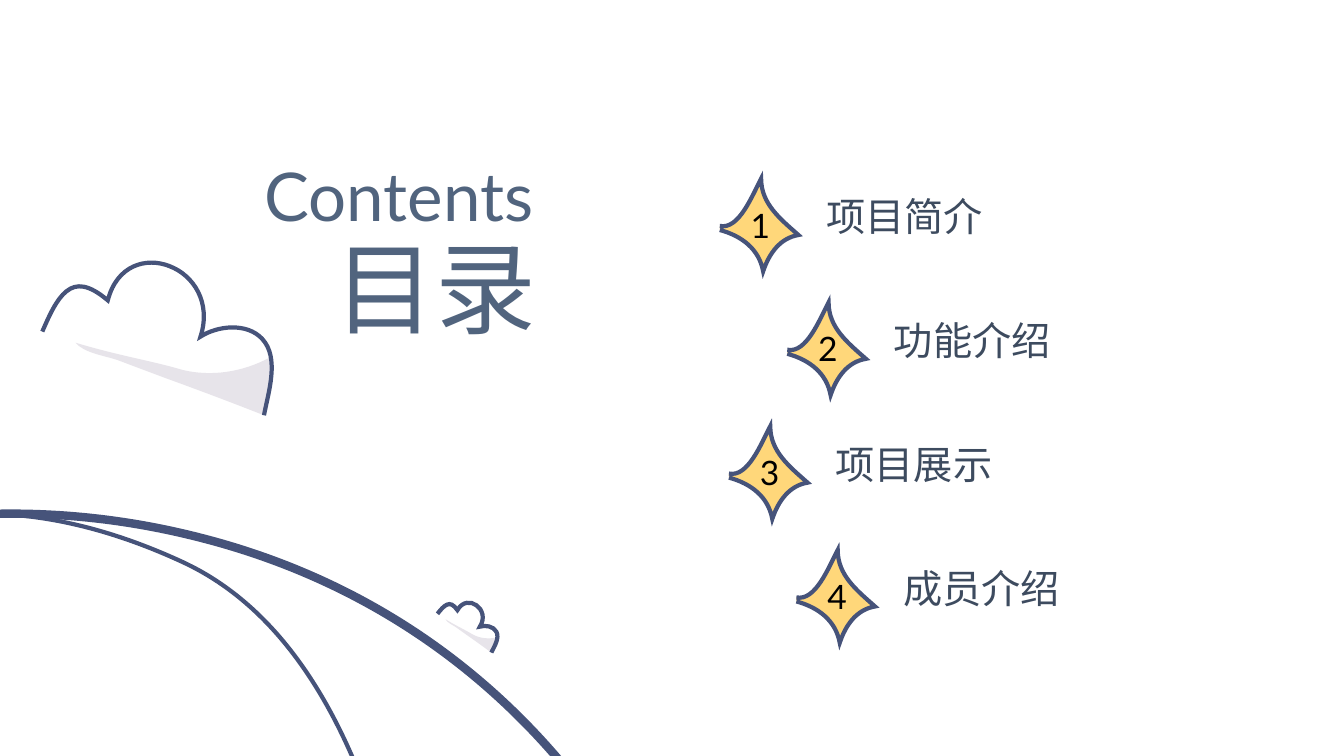
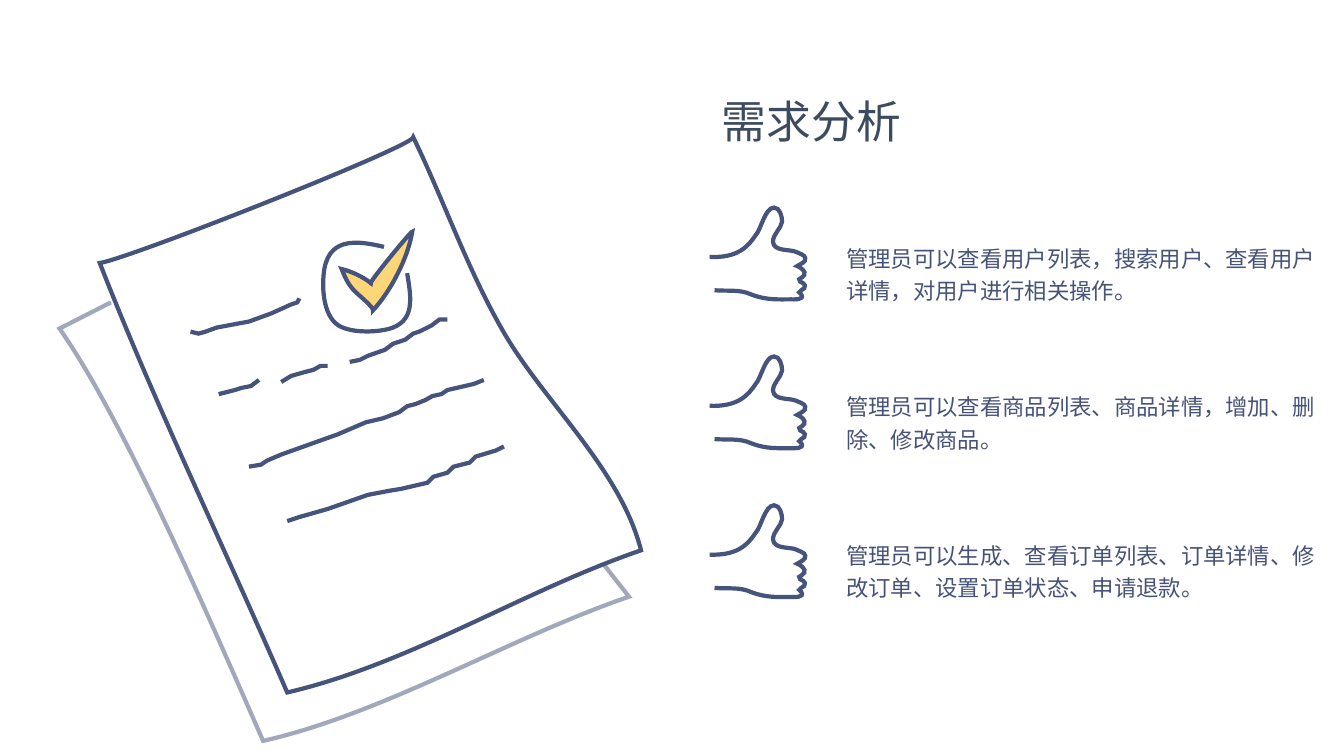
import math

import pptx
import pptx.dml.color
import pptx.enum.text
import pptx.oxml.ns
import pptx.util
from lxml import etree
from pptx.util import Cm

RGBColor = pptx.dml.color.RGBColor
Align = pptx.enum.text.PP_ALIGN
Anchor = pptx.enum.text.MSO_ANCHOR
qn = pptx.oxml.ns.qn

NAVY = RGBColor(0x46, 0x53, 0x7A)
BODY = RGBColor(0x47, 0x52, 0x78)
SLATE = RGBColor(0x51, 0x64, 0x7E)
INK = RGBColor(0x3D, 0x4B, 0x5F)
BLACK = RGBColor(0, 0, 0)
GOLD = RGBColor(0xFF, 0xD7, 0x7A)
CHECK_GOLD = RGBColor(0xFD, 0xD6, 0x7A)
MIST = RGBColor(0xE7, 0xE4, 0xEA)

FONT = "Lato"
UNIT = Cm(0.0254)

SECTIONS = [
    ("项目简介", 18.14),
    ("功能介绍", 19.84),
    ("项目展示", 18.37),
    ("成员介绍", 20.07),
]
SECTION_TOP, SECTION_PITCH = 4.5, 3.12

REQUIREMENTS = [
    "管理员可以查看用户列表，搜索用户、查看用户详情，对用户进行相关操作。",
    "管理员可以查看商品列表、商品详情，增加、删除、修改商品。",
    "管理员可以生成、查看订单列表、订单详情、修改订单、设置订单状态、申请退款。",
]
REQUIREMENT_PITCH = 3.75

STAR = [
    (0, 47), (19, 51, 32, 17, 41, 0), (41, 25, 60, 40, 78, 56),
    (60, 59, 49, 74, 43, 92), (39, 70, 22, 57, 0, 51),
]
HILL = [
    (649, 1744), (870, 1319, 728, 667, 197, 533),
    (-361, 391, -901, 920, -829, 1456), (-735, 2140, 133, 2409, 568, 1868),
    (599, 1829, 626, 1788, 649, 1744),
]
INNER_HILL = [
    (57, 2123), (438, 1999, 471, 1379, 424, 1047),
    (401, 883, 351, 637, 182, 558), (-350, 311, -571, 1071, -537, 1433),
    (-512, 1707, -292, 2236, 57, 2123),
]
CLOUD_SHADE = [
    (75, 340), (118, 353, 151, 358, 181, 367), (210, 374, 241, 369, 267, 355),
    (273, 367, 262, 412, 262, 412), (229, 399, 197, 387, 164, 375),
    (148, 369, 132, 363, 116, 357), (104, 353, 83, 350, 75, 340),
]
CLOUD = [
    (42, 329), (49, 313, 56, 297, 66, 289), (76, 281, 88, 282, 107, 298),
    (116, 263, 145, 255, 168, 264), (192, 273, 210, 300, 199, 334),
    (216, 323, 245, 320, 260, 336), (278, 355, 266, 390, 262, 412),
]
SMALL_CLOUD_START, SMALL_CLOUD_SCALE, SMALL_CLOUD_TURN = (434, 609), 0.28, 15

THUMB = [
    (704, 255), (732, 256, 742, 245, 750, 233), (755, 228, 759, 206, 768, 206),
    (774, 206, 776, 215, 776, 220), (775, 227, 767, 232, 767, 240),
    (768, 250, 784, 247, 790, 250), (792, 251, 799, 253, 799, 256),
    (800, 260, 794, 262, 791, 264), (794, 265, 800, 269, 798, 273),
    (797, 275, 794, 276, 793, 277), (792, 279, 795, 280, 797, 281),
    (799, 282, 799, 284, 798, 286), (795, 288), (793, 290), (795, 292),
    (799, 298, 787, 297, 785, 297), (773, 297, 760, 298, 745, 292),
    (734, 287, 722, 289, 709, 288),
]
CHECK_RING = [
    (381, 245), (356, 239, 328, 235, 322, 266), (319, 283, 320, 313, 336, 323),
    (349, 331, 377, 330, 390, 325), (413, 316, 407, 291, 404, 271),
]
CHECK = [
    (409, 230), (409, 228, 366, 280, 368, 281), (361, 275, 348, 269, 339, 267),
    (343, 277, 346, 283, 353, 290), (354, 291, 372, 306, 370, 308),
    (387, 290, 405, 256, 409, 230),
]
PAPER = [
    (410, 136), (413, 144, 130, 256, 99, 261), (155, 404, 224, 546, 285, 687),
    (406, 659, 519, 586, 636, 546), (616, 466, 540, 399, 500, 330),
    (464, 268, 441, 200, 410, 136),
]
BACK_PAPER = [
    (110, 300), (59, 326), (119, 411, 200, 595, 261, 735),
    (381, 708, 507, 632, 624, 592), (599, 560),
]
HANDWRITING = [
    [(189, 329), (197, 331), (204, 329), (215, 325), (247, 319), (269, 311),
     (289, 302), (295, 300), (297, 296)],
    [(217, 391), (233, 387), (239, 385), (249, 383), (257, 377)],
    [(279, 379), (289, 373), (303, 369), (311, 367), (318, 363), (325, 363)],
    [(347, 359), (357, 357), (365, 353), (382, 347), (390, 341), (402, 337),
     (410, 331), (416, 329), (428, 323), (436, 317), (444, 317)],
    [(247, 463), (259, 461), (265, 457), (279, 451), (307, 441), (335, 431),
     (363, 419), (380, 415), (396, 409), (404, 403), (412, 401), (422, 397),
     (429, 393), (438, 391), (444, 387), (470, 381), (480, 377)],
    [(285, 517), (297, 513), (325, 505), (365, 491), (386, 487), (398, 485),
     (424, 479), (430, 473), (444, 469), (450, 463), (466, 459), (472, 453),
     (492, 447), (500, 443)],
]


def pair_up(segment):
    return list(zip(segment[::2], segment[1::2]))


def place_small_cloud(outline):
    cosine = SMALL_CLOUD_SCALE * math.cos(math.radians(SMALL_CLOUD_TURN))
    sine = SMALL_CLOUD_SCALE * math.sin(math.radians(SMALL_CLOUD_TURN))
    origin_x, origin_y = CLOUD[0]
    left, top = SMALL_CLOUD_START
    placed = []
    for segment in outline:
        offsets = [(x - origin_x, y - origin_y) for x, y in pair_up(segment)]
        placed.append(tuple(
            value for x, y in offsets
            for value in (left + x * cosine - y * sine, top + x * sine + y * cosine)
        ))
    return placed


def bend_curves(shape, segments):
    lines = iter(shape.element.findall(".//" + qn("a:lnTo")))
    for segment in segments:
        first = next(lines)
        if len(segment) == 6:
            first.tag = qn("a:cubicBezTo")
            for extra in (next(lines), next(lines)):
                first.append(extra[0])
                extra.getparent().remove(extra)


def draw(slide, outline, fill=None, line=NAVY, width=3, left=0, top=0, opacity=None):
    points = [
        (Cm(left) + x * UNIT, Cm(top) + y * UNIT)
        for segment in outline for x, y in pair_up(segment)
    ]
    closed = outline[0] == outline[-1][-2:]
    builder = slide.shapes.build_freeform(*points[0], scale=1.0)
    builder.add_line_segments(points[1:], close=closed)
    shape = builder.convert_to_shape()
    bend_curves(shape, outline[1:])
    shape.shadow.inherit = False
    if fill is None:
        shape.fill.background()
    else:
        shape.fill.solid()
        shape.fill.fore_color.rgb = fill
    if line is None:
        shape.line.fill.background()
        return
    shape.line.color.rgb = line
    shape.line.width = pptx.util.Pt(width)
    stroke = shape.element.spPr.find(qn("a:ln"))
    if opacity is not None:
        color = stroke.find(".//" + qn("a:srgbClr"))
        etree.SubElement(color, qn("a:alpha"), val=str(opacity * 1000))
    etree.SubElement(stroke, qn("a:miter"), lim="800000")


def write(shape, text, size, color, align=Align.LEFT, wrap=False):
    frame = shape.text_frame
    frame.text = text
    frame.auto_size = pptx.enum.text.MSO_AUTO_SIZE.NONE
    frame.word_wrap = wrap
    frame.vertical_anchor = Anchor.TOP
    paragraph = frame.paragraphs[0]
    paragraph.alignment = align
    paragraph.font.name = FONT
    paragraph.font.size = pptx.util.Pt(size)
    paragraph.font.color.rgb = color
    return frame


def add_text(slide, box, text, size, color, **options):
    shape = slide.shapes.add_textbox(*map(Cm, box))
    return write(shape, text, size, color, **options)


def add_slide(presentation, title, box, size, color):
    slide = presentation.slides.add_slide(presentation.slide_layouts[5])
    shape = slide.shapes.title
    shape.left, shape.top, shape.width, shape.height = map(Cm, box)
    write(shape, title, size, color, align=Align.RIGHT)
    return slide


def build_contents(presentation):
    slide = add_slide(presentation, "目录", (8.13, 5.56, 5.64, 3.33), 72, SLATE)
    add_text(slide, (4.24, 3.76, 9.45, 2.31), "Contents", 48, SLATE, align=Align.RIGHT)
    draw(slide, HILL, width=6)
    draw(slide, INNER_HILL)
    for outline, style in ((CLOUD_SHADE, {"fill": MIST, "line": None}), (CLOUD, {})):
        draw(slide, outline, **style)
        draw(slide, place_small_cloud(outline), **style)
    for index, (label, left) in enumerate(SECTIONS):
        top = SECTION_TOP + index * SECTION_PITCH
        draw(slide, STAR, fill=GOLD, left=left, top=top)
        add_text(slide, (left + 0.53, top + 0.53, 1.14, 1.27), str(index + 1), 24, BLACK)
        add_text(slide, (left + 2.44, top + 0.23, 4.5, 1.45), label, 28, INK)


def build_requirements(presentation):
    slide = add_slide(presentation, "需求分析", (17.88, 2.24, 5.08, 1.63), 32, INK)
    for index, text in enumerate(REQUIREMENTS):
        offset = index * REQUIREMENT_PITCH
        draw(slide, THUMB, top=offset)
        frame = add_text(slide, (21.23, 5.92 + offset, 12.24, 1.85), text, 16, BODY, wrap=True)
        frame.vertical_anchor = Anchor.MIDDLE
        frame.margin_left = frame.margin_right = Cm(0.1)
        frame.margin_top = frame.margin_bottom = Cm(0.1)
        frame.paragraphs[0].line_spacing = 1.2
    draw(slide, CHECK_RING)
    draw(slide, CHECK, fill=CHECK_GOLD)
    draw(slide, PAPER)
    draw(slide, BACK_PAPER, opacity=49)
    for stroke in HANDWRITING:
        draw(slide, stroke)


def main():
    presentation = pptx.Presentation()
    presentation.slide_width = Cm(33.87)
    presentation.slide_height = Cm(19.05)
    build_contents(presentation)
    build_requirements(presentation)
    presentation.save("out.pptx")


if __name__ == "__main__":
    main()
